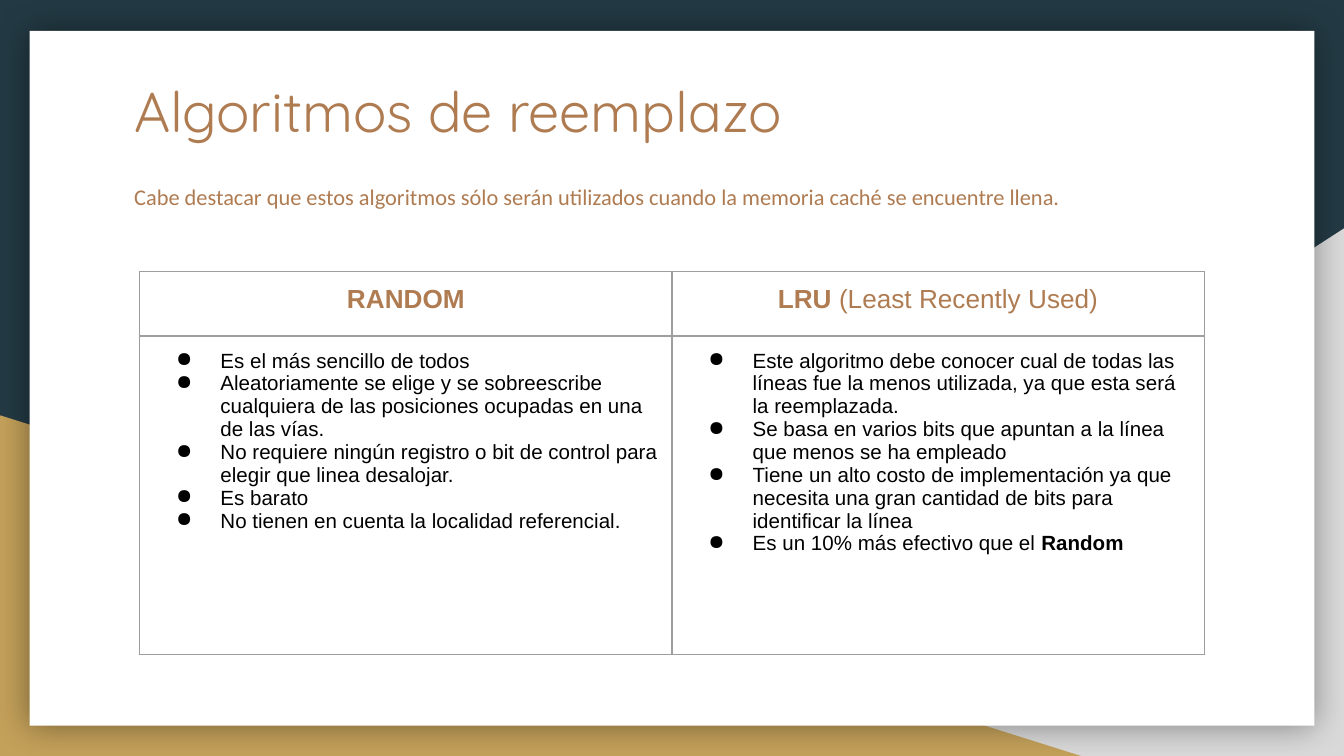
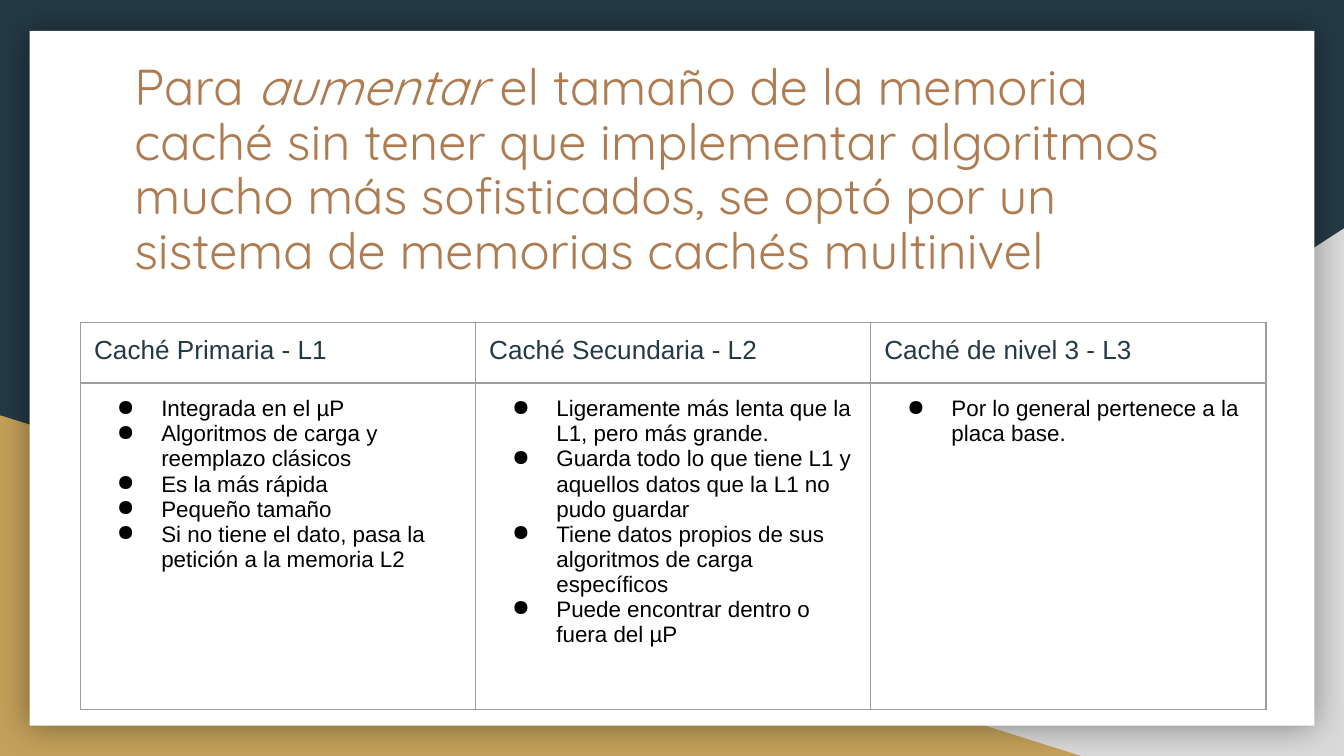
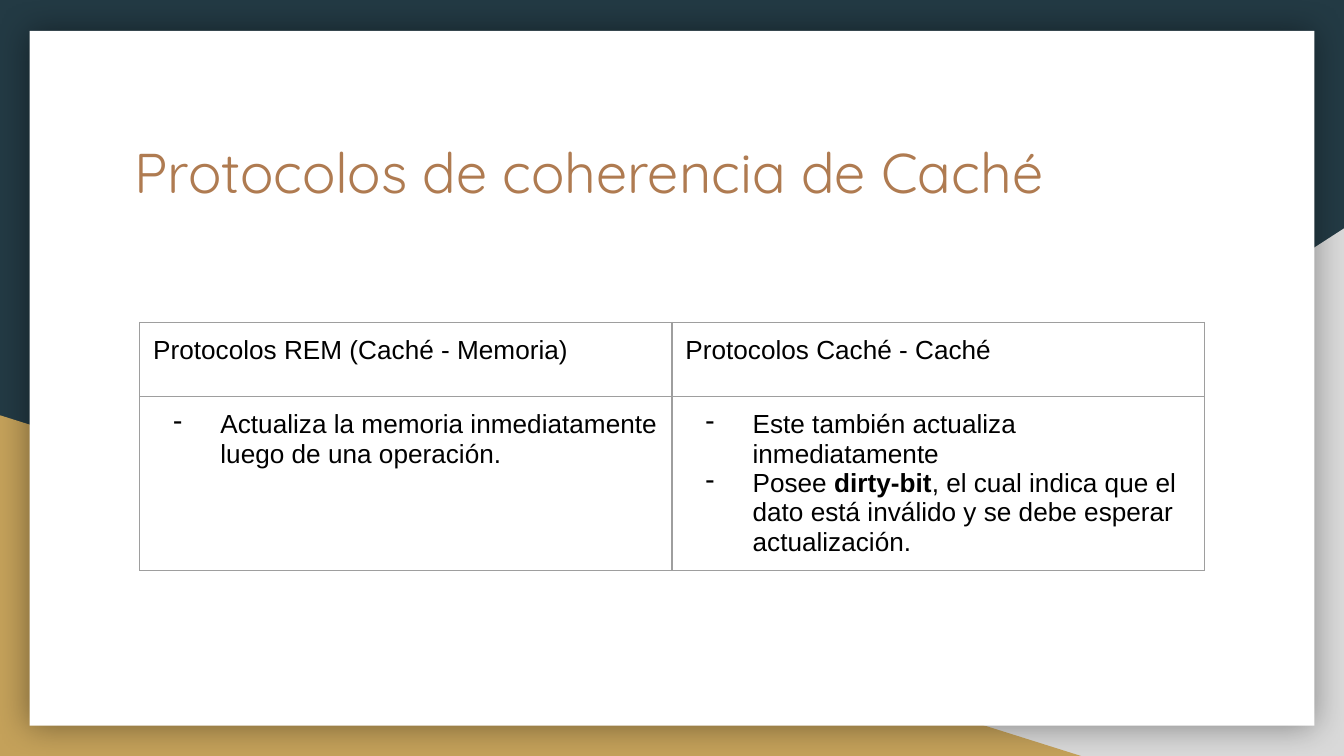
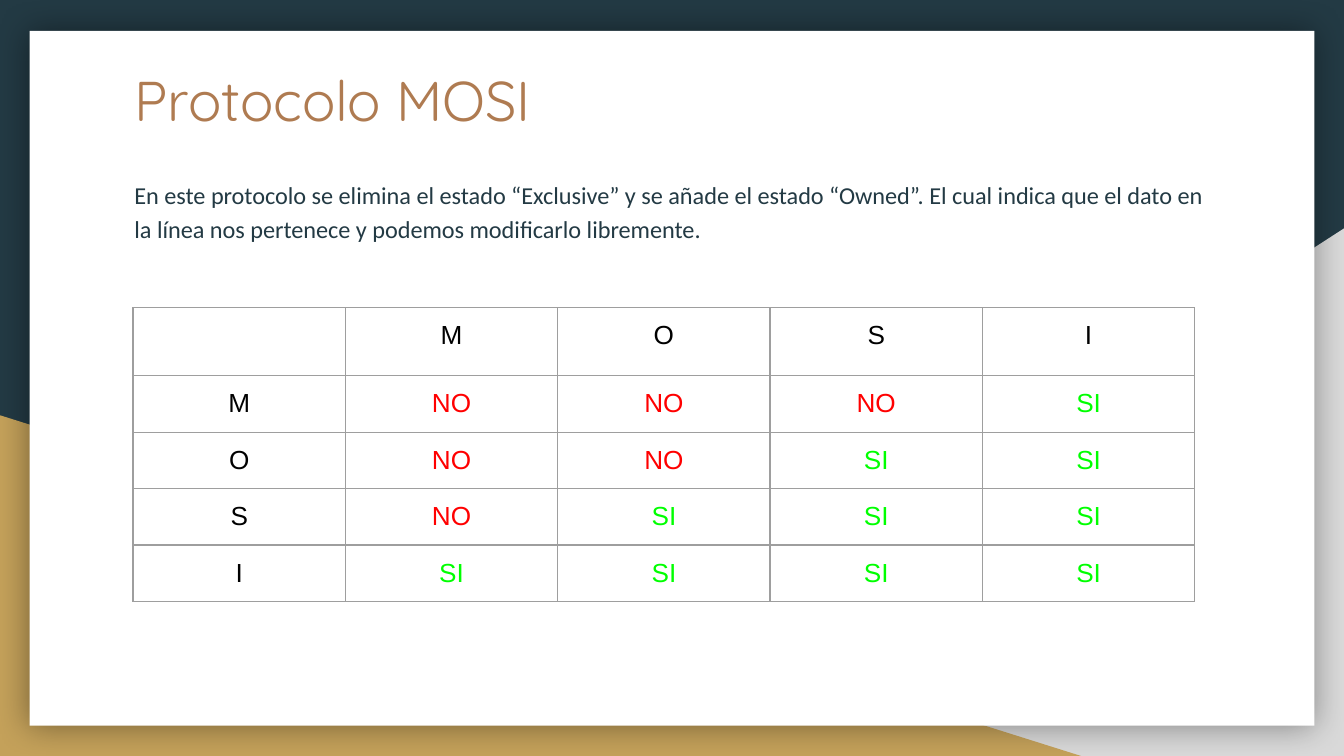
from lxml import etree
from pptx import Presentation
from pptx.dml.color import RGBColor
from pptx.enum.shapes import MSO_SHAPE
from pptx.enum.text import MSO_ANCHOR, MSO_AUTO_SIZE, PP_ALIGN
from pptx.oxml.ns import qn
from pptx.util import Inches, Pt

RECTANGLE, TRIANGLE = MSO_SHAPE.RECTANGLE, MSO_SHAPE.RIGHT_TRIANGLE
TOP = MSO_ANCHOR.TOP
LEFT, CENTER = PP_ALIGN.LEFT, PP_ALIGN.CENTER
FIXED, SHRINK = MSO_AUTO_SIZE.NONE, MSO_AUTO_SIZE.TEXT_TO_FIT_SHAPE
GROW = MSO_AUTO_SIZE.SHAPE_TO_FIT_TEXT

COLORS = {
    "navy": "233A44", "gray": "D9D9D9", "gold": "C4A15A", "white": "FFFFFF",
    "copper": "AF7B51", "black": "000000", "border": "9E9E9E",
    "red": "FF0000", "green": "00FF00",
}
TITLE_FONT, BODY_FONT, TABLE_FONT = "Quicksand", "Calibri", "Arial"
TITLE_AND_BODY, TITLE_ONLY = 1, 5
INSET = Inches(0.1)
BORDER_WIDTH = Pt(0.75)


def rgb(name):
    return RGBColor.from_string(COLORS[name])


def add_xml(parent, tag, **attributes):
    values = {key: str(value) for key, value in attributes.items()}
    return etree.SubElement(parent, qn(tag), values)


def add_color(parent, name):
    return add_xml(parent, "a:srgbClr", val=COLORS[name])


class Deck:
    def __init__(self):
        self.prs = Presentation()
        self.prs.slide_width, self.prs.slide_height = Inches(10), Inches(5.625)
        self.slide = None

    def new_slide(self, layout=TITLE_ONLY):
        self.slide = self.prs.slides.add_slide(self.prs.slide_layouts[layout])
        if len(self.prs.slides) == 1:
            self.paint_master()

    def paint_master(self):
        """Give the master its background, two triangles and white panel."""
        fill = self.prs.slide_master.background.fill
        fill.solid()
        fill.fore_color.rgb = rgb("navy")
        gray = self.master_shape(TRIANGLE, (3.92, 1.7, 6.08, 3.93), "gray")
        gray.element.spPr.find(qn("a:xfrm")).set("flipH", "1")
        self.master_shape(TRIANGLE, (0, 3.09, 8.06, 2.54), "gold")
        panel = self.master_shape(RECTANGLE, (0.22, 0.23, 9.56, 5.17), "white")
        effects = panel.element.spPr.find(qn("a:effectLst"))
        shadow = add_xml(effects, "a:outerShdw", blurRad=Pt(18), dist=0, dir=0,
                         algn="ctr", rotWithShape=0)
        add_xml(add_color(shadow, "black"), "a:alpha", val=40000)

    def master_shape(self, kind, box, color):
        """Draw a plain shape and move it from the slide to the master."""
        shape = self.slide.shapes.add_shape(kind, *map(Inches, box))
        shape.shadow.inherit = False
        shape.fill.solid()
        shape.fill.fore_color.rgb = rgb(color)
        shape.line.fill.background()
        self.prs.slide_master.shapes.element.append(shape.element)
        return shape

    def add_runs(self, paragraph, runs, size, color, font, align=LEFT):
        """Fill a paragraph from a string or a list of (text, "b"/"i"/"") runs."""
        paragraph.alignment = align
        for text, mark in [(runs, "")] if isinstance(runs, str) else runs:
            run = paragraph.add_run()
            run.text = text
            run.font.name, run.font.size = font, Pt(size)
            run.font.color.rgb = rgb(color)
            run.font.bold, run.font.italic = mark == "b", mark == "i"

    def first_paragraph(self, shape, autosize):
        """Set up the text frame of a shape and return its first paragraph."""
        frame = shape.text_frame
        frame.word_wrap, frame.auto_size = True, autosize
        frame.vertical_anchor = TOP
        frame.margin_left = frame.margin_right = INSET
        frame.margin_top = frame.margin_bottom = INSET
        return frame.paragraphs[0]

    def place(self, shape, box):
        shape.left, shape.top, shape.width, shape.height = map(Inches, box)

    def title(self, runs, top, height, size=30):
        title = self.slide.shapes.title
        self.place(title, (0.9, top, 8.21, height))
        paragraph = self.first_paragraph(title, SHRINK)
        self.add_runs(paragraph, runs, size, "copper", TITLE_FONT)

    def subtitle(self, text):
        box = map(Inches, (0.9, 1.26, 8.11, 0.4))
        paragraph = self.first_paragraph(self.slide.shapes.add_textbox(*box), GROW)
        self.add_runs(paragraph, text, 12, "copper", BODY_FONT)

    def body(self, text):
        body = self.slide.placeholders[1]
        self.place(body, (0.9, 1.21, 8.21, 0.8))
        paragraph = self.first_paragraph(body, FIXED)
        properties = paragraph._p.get_or_add_pPr()
        properties.set("marL", "0")
        properties.set("indent", "0")
        add_xml(properties, "a:buNone")
        paragraph.line_spacing = 1.15
        paragraph.space_before, paragraph.space_after = Pt(0), Pt(12)
        self.add_runs(paragraph, text, 13, "navy", BODY_FONT)

    def table(self, left, top, column_width, row_heights, columns):
        """Add a table with equal columns and plain bordered cells."""
        grid = self.slide.shapes.add_table(
            len(row_heights), columns, Inches(left), Inches(top),
            Inches(column_width * columns), Inches(sum(row_heights))).table
        grid.first_row = grid.horz_banding = False
        for column in grid.columns:
            column.width = Inches(column_width)
        for row, height in zip(grid.rows, row_heights):
            row.height = Inches(height)
        for cell in grid.iter_cells():
            cell.margin_left = cell.margin_right = INSET
            cell.margin_top = cell.margin_bottom = INSET
            properties = cell._tc.get_or_add_tcPr()
            for side in ("a:lnL", "a:lnR", "a:lnT", "a:lnB"):
                line = add_xml(properties, side, w=BORDER_WIDTH)
                add_color(add_xml(line, "a:solidFill"), "border")
            cell.fill.background()
        return grid

    def cell_text(self, cell, runs, color="black", align=LEFT):
        paragraph = cell.text_frame.paragraphs[0]
        self.add_runs(paragraph, runs, 14, color, TABLE_FONT, align)

    def cell_list(self, cell, items, size, bullet, hanging):
        frame = cell.text_frame
        for index, item in enumerate(items):
            paragraph = frame.add_paragraph() if index else frame.paragraphs[0]
            properties = paragraph._p.get_or_add_pPr()
            properties.set("marL", str(Inches(0.5)))
            properties.set("indent", str(-Inches(hanging)))
            add_color(add_xml(properties, "a:buClr"), "black")
            add_xml(properties, "a:buChar", char=bullet)
            self.add_runs(paragraph, item, size, "black", TABLE_FONT)

    def comparison(self, corner, column_width, row_heights, topics, size,
                   color="black", align=LEFT, bullet="●", hanging=0.33):
        """Add a table of (heading, list) topics, one topic to a column."""
        grid = self.table(*corner, column_width, row_heights, len(topics))
        for column, (heading, items) in enumerate(topics):
            self.cell_text(grid.cell(0, column), heading, color, align)
            self.cell_list(grid.cell(1, column), items, size, bullet, hanging)

    def state_matrix(self, corner, column_width, row_height, states, answers):
        count = len(states) + 1
        grid = self.table(*corner, column_width, [row_height] * count, count)
        for index, state in enumerate(states, 1):
            self.cell_text(grid.cell(0, index), state, align=CENTER)
            self.cell_text(grid.cell(index, 0), state, align=CENTER)
        for row, line in enumerate(answers, 1):
            for column, answer in enumerate(line.split(), 1):
                color = "green" if answer == "SI" else "red"
                self.cell_text(grid.cell(row, column), answer, color, CENTER)


def replacement_slide(deck):
    deck.new_slide()
    deck.title("Algoritmos de reemplazo", 0.47, 0.75)
    deck.subtitle("Cabe destacar que estos algoritmos sólo serán utilizados cuando "
                  "la memoria caché se encuentre llena.")
    policies = [
        ([("RANDOM", "b")], [
            "Es el más sencillo de todos",
            "Aleatoriamente se elige y se sobreescribe cualquiera de las posiciones "
            "ocupadas en una de las vías.",
            "No requiere ningún registro o bit de control para elegir que linea "
            "desalojar.",
            "Es barato",
            "No tienen en cuenta la localidad referencial.",
        ]),
        ([("LRU ", "b"), ("(Least Recently Used)", "")], [
            "Este algoritmo debe conocer cual de todas las líneas fue la menos "
            "utilizada, ya que esta será la reemplazada.",
            "Se basa en varios bits que apuntan a la línea que menos se ha empleado",
            "Tiene un alto costo de implementación ya que necesita una gran cantidad "
            "de bits para identificar la línea",
            [("Es un 10% más efectivo que el ", ""), ("Random", "b")],
        ]),
    ]
    deck.comparison((1.04, 2.02), 3.96, (0.48, 2.37), policies, 11, "copper", CENTER)


def multilevel_slide(deck):
    deck.new_slide()
    deck.title([
        ("Para ", ""), ("aumentar ", "i"),
        ("el tamaño de la memoria caché sin tener que implementar algoritmos mucho "
         "más sofisticados, se optó por un sistema de memorias cachés multinivel", ""),
    ], 0.31, 2.03, 27)
    levels = [
        ("Caché Primaria - L1", [
            "Integrada en el µP",
            "Algoritmos de carga y reemplazo clásicos",
            "Es la más rápida",
            "Pequeño tamaño",
            "Si no tiene el dato, pasa la petición a la memoria L2",
        ]),
        ("Caché Secundaria - L2", [
            "Ligeramente más lenta que la L1, pero más grande.",
            "Guarda todo lo que tiene L1 y aquellos datos que la L1 no pudo guardar",
            "Tiene datos propios de sus algoritmos de carga específicos",
            "Puede encontrar dentro o fuera del µP",
        ]),
        ("Caché de nivel 3 - L3", ["Por lo general pertenece a la placa base."]),
    ]
    deck.comparison((0.6, 2.4), 2.94, (0.45, 2.43), levels, 12, "navy")


def coherence_slide(deck):
    deck.new_slide()
    deck.title("Protocolos de coherencia de Caché", 0.92, 1.04)
    protocols = [
        ("Protocolos REM (Caché - Memoria)", [
            "Actualiza la memoria inmediatamente luego de una operación.",
        ]),
        ("Protocolos Caché - Caché", [
            "Este también actualiza inmediatamente",
            [("Posee ", ""), ("dirty-bit", "b"),
             (", el cual indica que el dato está inválido y se debe esperar "
              "actualización.", "")],
        ]),
    ]
    deck.comparison((1.04, 2.4), 3.96, (0.55, 1.17), protocols, 14,
                    bullet="-", hanging=0.35)


def mosi_slide(deck):
    deck.new_slide(TITLE_AND_BODY)
    deck.title("Protocolo MOSI", 0.39, 1.04)
    deck.body("En este protocolo se elimina el estado “Exclusive” y se añade el estado "
              "“Owned”. El cual indica que el dato en la línea nos pertenece y podemos "
              "modificarlo libremente.")
    answers = ["NO NO NO SI", "NO NO SI SI", "NO SI SI SI", "SI SI SI SI"]
    deck.state_matrix((0.99, 2.29), 1.58, 0.42, "MOSI", answers)


def main():
    deck = Deck()
    replacement_slide(deck)
    multilevel_slide(deck)
    coherence_slide(deck)
    mosi_slide(deck)
    deck.prs.save("out.pptx")


if __name__ == "__main__":
    main()
